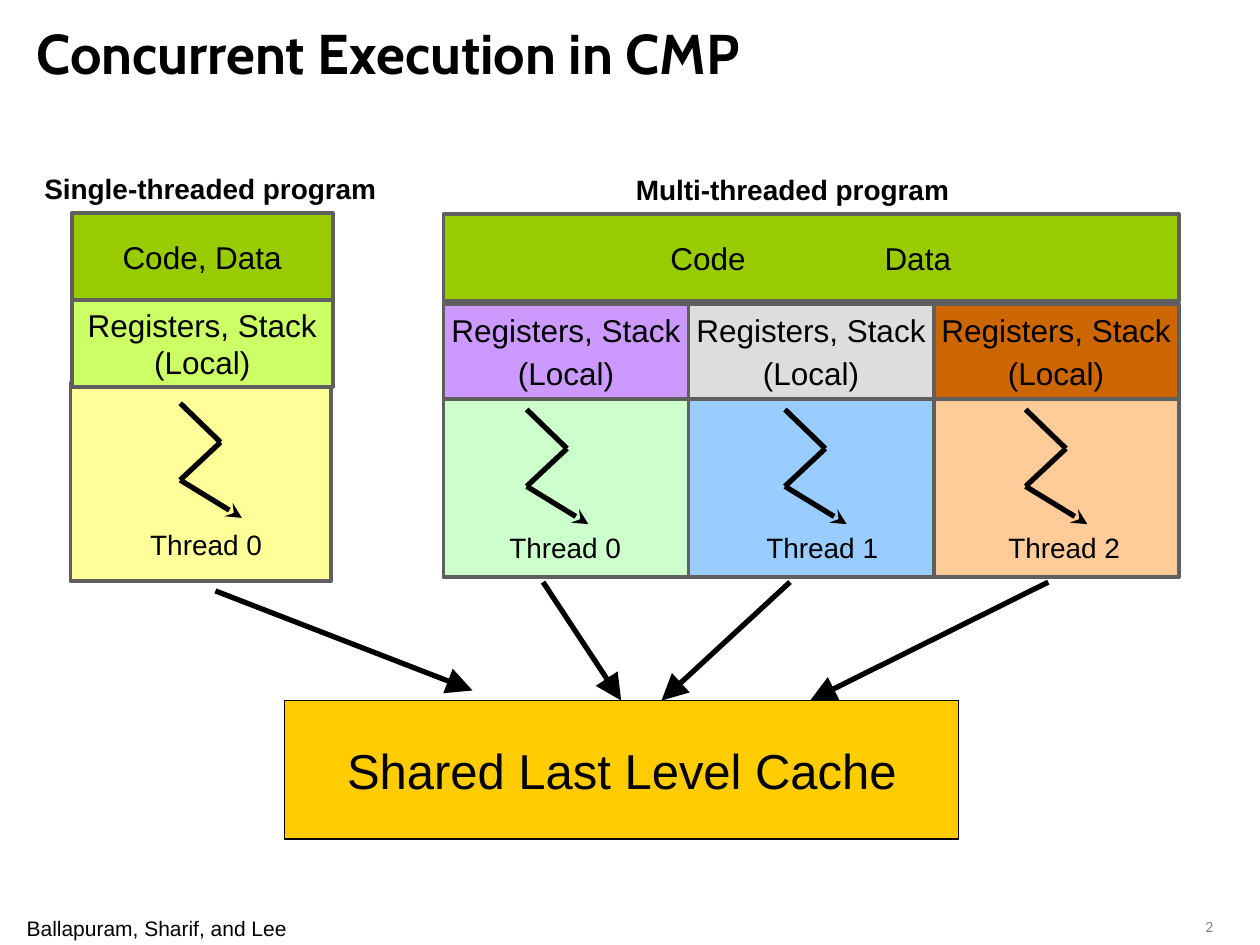
from itertools import pairwise

from lxml import etree
from pptx import Presentation
from pptx import util as u
from pptx.dml.color import RGBColor
from pptx.enum import shapes, text
from pptx.oxml import ns

THEME = {
    "ink": "000000", "edge": "5F5F5F", "page": "808080",
    "shared": "99CC00", "local": "CCFF66", "single": "FFFF99", "cache": "FFCC00",
    "registers": ["CC99FF", "DDDDDD", "CC6600"],
    "threads": ["CCFFCC", "99CCFF", "FFCC99"],
    "font": "Arial", "title_font": "Cabin", "page_font": "Lato",
    "title": 32, "cache_size": 28, "body": 18, "label": 16, "footer": 12, "page_size": 8,
}
ALIGN = text.PP_ALIGN


def write(sp, lines, size, font=THEME["font"], color=THEME["ink"], bold=False,
          align=ALIGN.CENTER, anchor=text.MSO_ANCHOR.MIDDLE, wrap=True, gap=0, **margins):
    """Fill a shape's text frame, one paragraph per line."""
    tf = sp.text_frame
    frame = {"word_wrap": wrap, "vertical_anchor": anchor, "margin_left": 0.1,
             "margin_right": 0.1, "margin_top": 0.05, "margin_bottom": 0.05} | margins
    for name, value in frame.items():
        setattr(tf, name, u.Inches(value) if name.startswith("margin") else value)
    tf.text = "\n".join(lines)
    for i, p in enumerate(tf.paragraphs):
        p.alignment = align
        if i and gap:
            p.space_before = u.Pt(gap)
        for name, value in {"size": u.Pt(size), "name": font, "bold": bold}.items():
            setattr(p.font, name, value)
        p.font.color.rgb = RGBColor.from_string(color)
    return sp


def draw(kind, at, line=None, width=2.25, fill=None, head=None):
    """Add a text box, rectangle or straight line at four lengths in inches."""
    at = [u.Inches(v) for v in at]
    if kind == "text":
        return s.shapes.add_textbox(*at)
    if kind == "rect":
        sp = s.shapes.add_shape(shapes.MSO_SHAPE.RECTANGLE, *at)
        sp.shadow.inherit = False
        sp.fill.solid()
        sp.fill.fore_color.rgb = RGBColor.from_string(fill)
    else:
        sp = s.shapes.add_connector(shapes.MSO_CONNECTOR.STRAIGHT, *at)
    sp.line.color.rgb = RGBColor.from_string(line)
    sp.line.width = u.Pt(width)
    if kind == "line":
        if head:
            etree.SubElement(sp.line._get_or_add_ln(), ns.qn("a:tailEnd"), head)
        etree.SubElement(sp._element.spPr, ns.qn("a:effectLst"))
    return sp


prs = Presentation()
prs.slide_width, prs.slide_height = u.Inches(10), u.Inches(7.5)
s = prs.slides.add_slide(prs.slide_layouts[5])
ink, edge, body = THEME["ink"], THEME["edge"], THEME["body"]
TOP = text.MSO_ANCHOR.TOP
LOCAL = ["Registers, Stack", "(Local)"]

# Title
title = s.shapes.title
for name, value in {"left": 0.19, "top": 0.08, "width": 9.62, "height": 0.67}.items():
    setattr(title, name, u.Inches(value))
write(title, ["Concurrent Execution in CMP"], THEME["title"], THEME["title_font"],
      bold=True, align=ALIGN.LEFT)

# Program headings, each on one line
for heading, left, top in (("Single-threaded program", 0.09, 1.31),
                           ("Multi-threaded program", 4.71, 1.32)):
    write(draw("text", (left, top, 3.16, 0.37)), [heading], THEME["label"], bold=True,
          anchor=TOP)

# Single-threaded program
draw("rect", (0.56, 3.04, 2.07, 1.57), edge, fill=THEME["single"])
for lines, top, fill in ((["Code, Data"], 1.69, THEME["shared"]), (LOCAL, 2.38, THEME["local"])):
    sp = draw("rect", (0.57, top, 2.07, 0.69), edge, fill=fill)
    write(sp, lines, body, wrap=False)

# Multi-threaded program: shared code and data above one column per thread
LEFT, COL = 3.52, 1.945
sp = draw("rect", (LEFT, 1.7, 3 * COL, 0.69), edge, fill=THEME["shared"])
write(sp, ["Code\tData"], body, align=ALIGN.LEFT, margin_left=1.8)
pPr = sp.text_frame.paragraphs[0]._p.get_or_add_pPr()
tabs = etree.Element(ns.qn("a:tabLst"))
etree.SubElement(tabs, ns.qn("a:tab"), pos=str(u.Inches(1.7)), algn="l")
pPr.insert(0, tabs)
for i, (register, thread) in enumerate(zip(THEME["registers"], THEME["threads"])):
    x = LEFT + i * COL
    draw("rect", (x, 3.17, COL, 1.41), edge, fill=thread)
    sp = draw("rect", (x, 2.41, COL, 0.76), edge, fill=register)
    write(sp, LOCAL, body, wrap=False, gap=3.4)

# Thread zigzags and their names
ZIGZAG = [(0, 0), (0.32, 0.31), (0, 0.61), (0.49, 0.91)]
for name, x, y, label_x, label_y in (("Thread 0", 1.43, 3.2, 0.83, 4.14),
                                     ("Thread 0", 4.18, 3.25, 3.68, 4.16),
                                     ("Thread 1", 6.23, 3.25, 5.72, 4.16),
                                     ("Thread 2", 8.14, 3.25, 7.64, 4.16)):
    for start, end in pairwise(ZIGZAG):
        draw("line", (x + start[0], y + start[1], x + end[0], y + end[1]), ink, 3,
             head={"type": "stealth"} if end == ZIGZAG[-1] else None)
    write(draw("text", (label_x, label_y, 1.35, 0.37)), [name], THEME["label"],
          anchor=TOP, margin_left=0.36)

# Shared cache and the arrows into it
sp = draw("rect", (2.26, 5.56, 5.35, 1.1), ink, 0.75, THEME["cache"])
write(sp, ["Shared Last Level Cache"], THEME["cache_size"], wrap=False)
for at in ((1.71, 4.69, 3.75, 5.48), (4.31, 4.62, 4.93, 5.56),
           (6.27, 4.62, 5.25, 5.56), (8.32, 4.62, 6.43, 5.56)):
    draw("line", at, ink, 3, head={"type": "triangle", "w": "lg", "len": "lg"})

# Footer and page number
write(draw("text", (0.21, 7.27, 2.07, 0.2)), ["Ballapuram, Sharif, and Lee"], THEME["footer"],
      anchor=TOP, wrap=False, margin_left=0, margin_right=0, margin_top=0, margin_bottom=0)
write(draw("text", (9.07, 7.24, 0.66, 0.17)), ["2"], THEME["page_size"], THEME["page_font"],
      THEME["page"], align=ALIGN.RIGHT, anchor=TOP)

prs.save("out.pptx")
